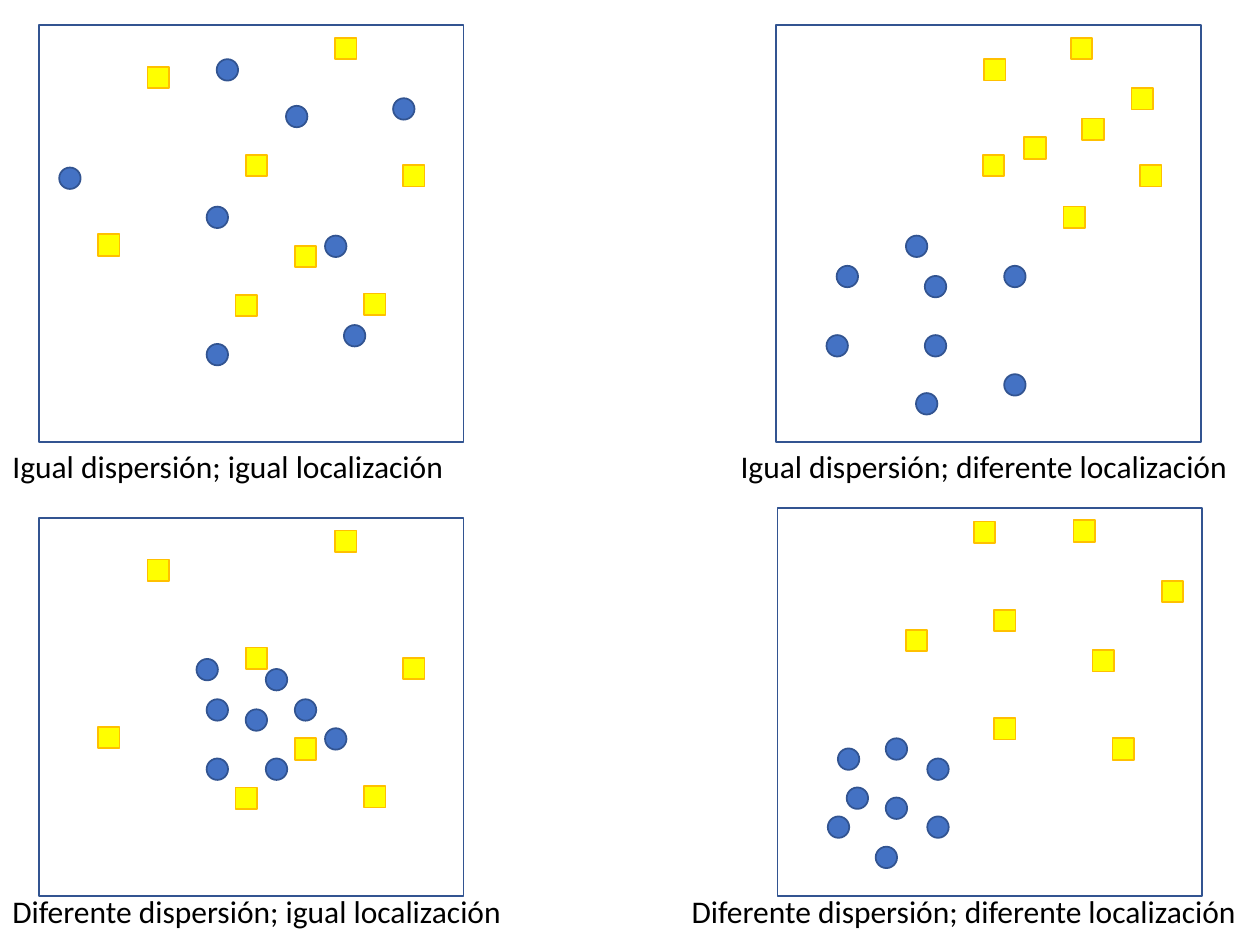
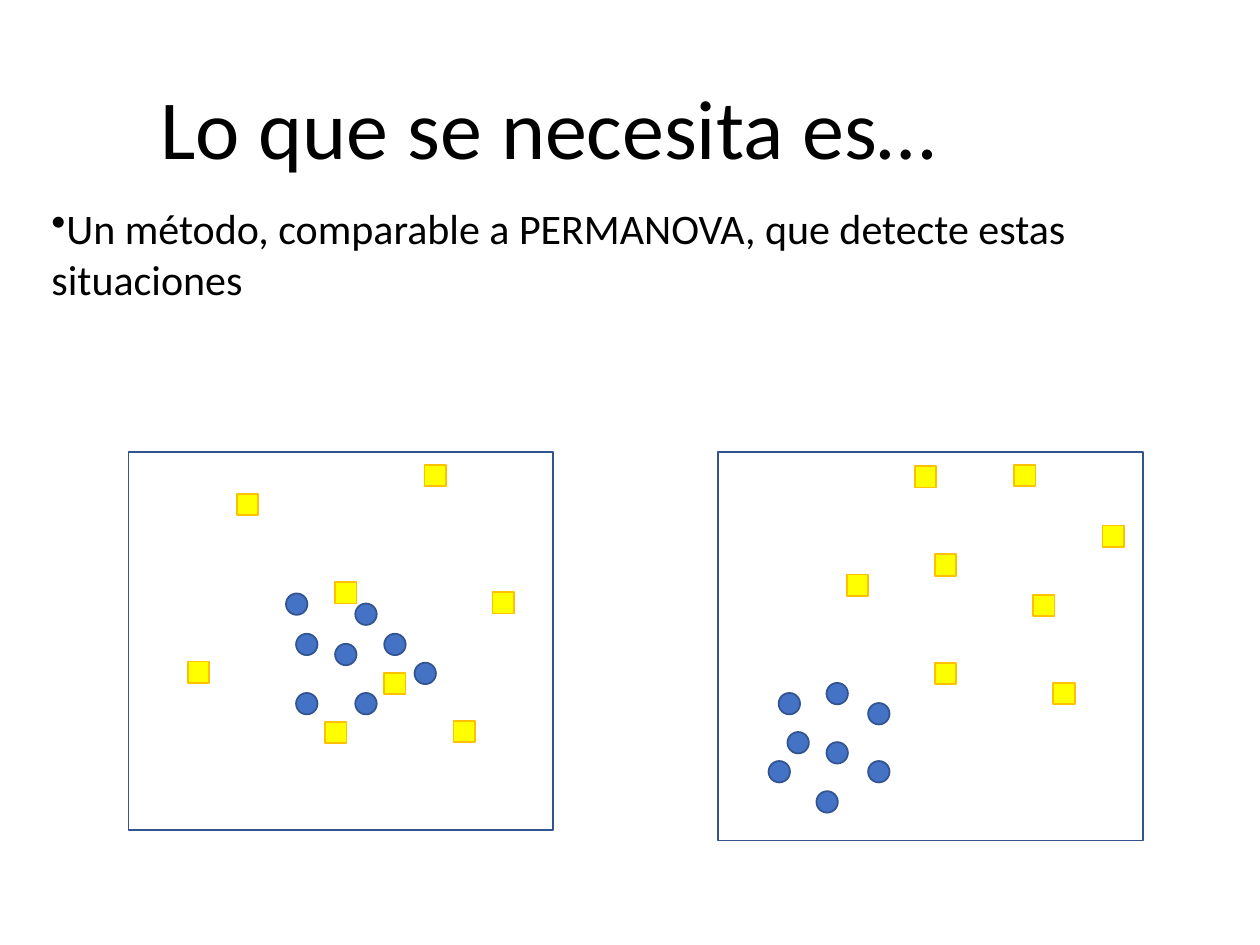
import pptx
import pptx.util
import pptx.dml.color
import pptx.enum.shapes
import pptx.enum.text
import pptx.oxml

Inches = pptx.util.Inches
Pt = pptx.util.Pt
RGBColor = pptx.dml.color.RGBColor
Shape = pptx.enum.shapes.MSO_SHAPE

BLACK = RGBColor(0x00, 0x00, 0x00)
BLUE = RGBColor(0x44, 0x72, 0xC4)
DARK_BLUE = RGBColor(0x32, 0x54, 0x91)
YELLOW = RGBColor(0xFF, 0xFF, 0x00)
AMBER = RGBColor(0xFF, 0xC0, 0x00)

FONT = "Calibri"
PLOT_WIDTH = 3.37
MARKER_SIZE = 0.17
TITLE_ONLY_LAYOUT = 5
BLANK_LAYOUT = 6

WIDE_SQUARES = [(0.86, 0.33), (0.47, 1.66), (2.58, 2.13), (2.35, 0.1),
                (1.56, 2.14), (1.64, 1.03), (2.89, 1.11), (2.03, 1.75)]

SAME_BOTH = (
    3.31,
    [(0.16, 1.13), (2.81, 0.58), (1.33, 2.53), (2.42, 2.38),
     (1.41, 0.27), (1.33, 1.44), (2.27, 1.67), (1.96, 0.64)],
    WIDE_SQUARES,
)
OTHER_LOCATION = (
    3.31,
    [(0.48, 1.91), (1.03, 1.67), (1.11, 2.92), (1.81, 1.91),
     (0.4, 2.46), (1.18, 1.99), (1.81, 2.77), (1.18, 2.46)],
    [(1.65, 0.27), (1.97, 0.89), (2.82, 0.5), (2.34, 0.1),
     (2.43, 0.74), (1.64, 1.03), (2.89, 1.11), (2.28, 1.44)],
)
OTHER_DISPERSION = (
    3,
    [(1.25, 1.12), (1.8, 1.2), (1.33, 1.91), (1.8, 1.91),
     (1.64, 1.52), (1.33, 1.44), (2.27, 1.67), (2.03, 1.44)],
    WIDE_SQUARES,
)
OTHER_BOTH = (
    3.08,
    [(0.48, 1.91), (0.86, 1.83), (0.78, 2.69), (0.86, 2.3),
     (0.4, 2.45), (1.19, 1.99), (0.55, 2.22), (1.19, 2.45)],
    [(1.56, 0.11), (1.72, 1.67), (3.05, 0.58), (2.35, 0.1),
     (1.72, 0.81), (1.02, 0.97), (2.5, 1.13), (2.66, 1.83)],
)


class Deck:
    def __init__(self):
        self.presentation = pptx.Presentation()
        self.presentation.slide_width = Inches(10)
        self.presentation.slide_height = Inches(7.5)
        self.slide = None

    def add_slide(self, layout):
        self.slide = self.presentation.slides.add_slide(
            self.presentation.slide_layouts[layout])

    def set_text(self, shape, text, size):
        frame = shape.text_frame
        frame.word_wrap = True
        frame.auto_size = pptx.enum.text.MSO_AUTO_SIZE.NONE
        frame.vertical_anchor = pptx.enum.text.MSO_ANCHOR.TOP
        frame.text = text
        paragraph = frame.paragraphs[0]
        paragraph.alignment = pptx.enum.text.PP_ALIGN.LEFT
        paragraph.font.name = FONT
        paragraph.font.size = Pt(size)
        paragraph.font.color.rgb = BLACK
        return paragraph

    def title(self, text, left, top, width, height):
        shape = self.slide.shapes.title
        shape.left, shape.top = Inches(left), Inches(top)
        shape.width, shape.height = Inches(width), Inches(height)
        self.set_text(shape, text, 48)

    def text(self, text, left, top, width, height, size):
        shape = self.slide.shapes.add_textbox(
            Inches(left), Inches(top), Inches(width), Inches(height))
        return self.set_text(shape, text, size)

    def bullet(self, text, left, top, width, height):
        paragraph = self.text(text, left, top, width, height, 24)
        properties = paragraph._p.get_or_add_pPr()
        character = pptx.oxml.parse_xml(
            '<a:buChar xmlns:a="http://schemas.openxmlformats.org/'
            'drawingml/2006/main" char="•"/>')
        properties.insert(0, character)

    def shape(self, group, kind, left, top, width, height, line, fill=None):
        shape = group.shapes.add_shape(
            kind, Inches(left), Inches(top), Inches(width), Inches(height))
        shape.shadow.inherit = False
        shape.line.color.rgb = line
        shape.line.width = Pt(1)
        if fill is None:
            shape.fill.background()
        else:
            shape.fill.solid()
            shape.fill.fore_color.rgb = fill

    def plot(self, pattern, left, top):
        height, circles, squares = pattern
        group = self.slide.shapes.add_group_shape()
        self.shape(group, Shape.RECTANGLE, left, top, PLOT_WIDTH, height, DARK_BLUE)
        for kind, offsets, line, fill in (
                (Shape.OVAL, circles, DARK_BLUE, BLUE),
                (Shape.RECTANGLE, squares, AMBER, YELLOW)):
            for across, down in offsets:
                self.shape(group, kind, left + across, top + down,
                           MARKER_SIZE, MARKER_SIZE, line, fill)


def main():
    deck = Deck()

    deck.add_slide(BLANK_LAYOUT)
    deck.plot(OTHER_LOCATION, 6.16, 0.2)
    deck.plot(OTHER_DISPERSION, 0.31, 4.11)
    deck.plot(OTHER_BOTH, 6.17, 4.03)
    deck.plot(SAME_BOTH, 0.31, 0.2)
    for caption, left, top, width in (
            ("Igual dispersión; igual localización", 0, 3.5, 4.38),
            ("Igual dispersión; diferente localización", 5.78, 3.5, 4.3),
            ("Diferente dispersión; igual localización", 0, 7.03, 4.53),
            ("Diferente dispersión; diferente localización", 5.39, 7.03, 4.92)):
        deck.text(caption, left, top, width, 0.4, 18)

    deck.add_slide(TITLE_ONLY_LAYOUT)
    deck.title("Lo que se necesita es…", 1.17, 0.55, 6.95, 0.91)
    deck.bullet("Un método, comparable a PERMANOVA, que detecte estas situaciones",
                0.31, 1.56, 9.45, 0.91)
    deck.plot(OTHER_DISPERSION, 1.02, 3.59)
    deck.plot(OTHER_BOTH, 5.7, 3.59)

    deck.presentation.save("out.pptx")


if __name__ == "__main__":
    main()
